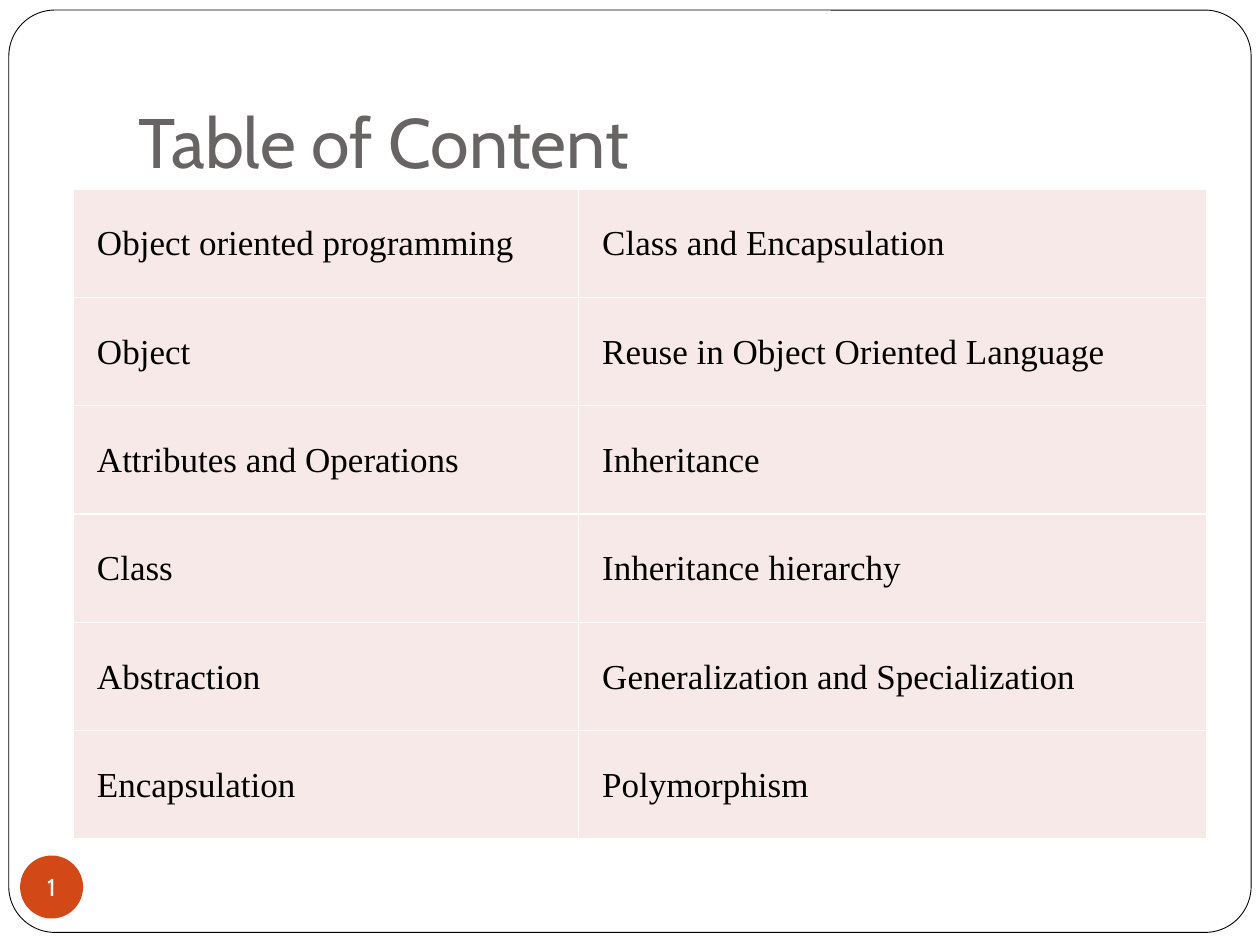
from lxml import etree
from pptx import Presentation
from pptx.dml.color import RGBColor
from pptx.enum import shapes, text
from pptx.oxml.ns import qn
from pptx.util import Inches, Pt

WHITE = RGBColor(0xFF, 0xFF, 0xFF)
BLACK = RGBColor(0, 0, 0)
GREY = RGBColor(0x69, 0x64, 0x64)
ORANGE = RGBColor(0xD3, 0x48, 0x17)
PINK = RGBColor(0xF7, 0xE9, 0xE8)

TOPICS = [
    ("Object oriented programming", "Class and Encapsulation"),
    ("Object", "Reuse in Object Oriented Language"),
    ("Attributes and Operations", "Inheritance"),
    ("Class", "Inheritance hierarchy"),
    ("Abstraction", "Generalization and Specialization"),
    ("Encapsulation", "Polymorphism"),
]
COLUMN_WIDTHS = (4.01, 4.99)
ROW_HEIGHT = 0.86


def set_font(p, name, size, color):
    p.font.name = name
    p.font.size = Pt(size)
    p.font.color.rgb = color


def set_insets(target, left, top, right, bottom):
    target.margin_left, target.margin_top = Inches(left), Inches(top)
    target.margin_right, target.margin_bottom = Inches(right), Inches(bottom)


def add_plain_shape(s, kind, left, top, width, height, fill):
    sp = s.shapes.add_shape(kind, Inches(left), Inches(top),
                            Inches(width), Inches(height))
    sp.shadow.inherit = False
    sp.fill.solid()
    sp.fill.fore_color.rgb = fill
    sp.line.fill.background()
    return sp


def add_frame(s):
    sp = add_plain_shape(s, shapes.MSO_SHAPE.ROUNDED_RECTANGLE,
                         0.07, 0.08, 9.86, 7.32, WHITE)
    sp.adjustments[0] = 0.05
    sp.line.color.rgb = BLACK
    sp.line.width = Pt(0.5)
    # Send the frame behind the title
    s.shapes.title._element.addprevious(sp._element)


def set_title(s, title):
    sp = s.shapes.title
    sp.left, sp.top = Inches(1), Inches(0.3)
    sp.width, sp.height = Inches(8.5), Inches(1.25)
    tf = sp.text_frame
    tf.text = title
    tf.vertical_anchor = text.MSO_ANCHOR.BOTTOM
    set_insets(tf, 0.1, 0.05, 0.1, 0.1)
    p = tf.paragraphs[0]
    p.alignment = text.PP_ALIGN.LEFT
    set_font(p, "Cabin", 40, GREY)


def add_page_number(s, number):
    sp = add_plain_shape(s, shapes.MSO_SHAPE.OVAL, 0.16, 6.79, 0.5, 0.5, ORANGE)
    tf = sp.text_frame
    tf.text = number
    tf.word_wrap = False
    tf.vertical_anchor = text.MSO_ANCHOR.MIDDLE
    set_insets(tf, 0, 0, 0, 0)
    p = tf.paragraphs[0]
    p.alignment = text.PP_ALIGN.CENTER
    set_font(p, "Cabin", 14, WHITE)


def set_borders(cell, color, width):
    # Border lines come before the fill in the cell properties
    tc_pr = cell._tc.get_or_add_tcPr()
    for i, side in enumerate(("a:lnL", "a:lnR", "a:lnT", "a:lnB")):
        ln = etree.Element(qn(side), w=str(Pt(width)))
        fill = etree.SubElement(ln, qn("a:solidFill"))
        etree.SubElement(fill, qn("a:srgbClr"), val=str(color))
        tc_pr.insert(i, ln)


def fill_cell(cell, words):
    cell.text = words
    cell.vertical_anchor = text.MSO_ANCHOR.MIDDLE
    set_insets(cell, 0.19, 0.01, 0.01, 0)
    cell.fill.solid()
    cell.fill.fore_color.rgb = PINK
    set_borders(cell, WHITE, 1)
    set_font(cell.text_frame.paragraphs[0], "Times New Roman", 20, BLACK)


def add_topics(s):
    table = s.shapes.add_table(
        len(TOPICS), len(COLUMN_WIDTHS), Inches(0.58), Inches(1.5),
        Inches(sum(COLUMN_WIDTHS)), Inches(ROW_HEIGHT * len(TOPICS))).table
    table.first_row = table.horz_banding = False
    for column, width in zip(table.columns, COLUMN_WIDTHS):
        column.width = Inches(width)
    for row, topics in zip(table.rows, TOPICS):
        row.height = Inches(ROW_HEIGHT)
        for cell, words in zip(row.cells, topics):
            fill_cell(cell, words)


def main():
    prs = Presentation()
    prs.slide_width, prs.slide_height = Inches(10), Inches(7.5)
    s = prs.slides.add_slide(prs.slide_layouts[5])
    add_frame(s)
    set_title(s, "Table of Content")
    add_page_number(s, "1")
    add_topics(s)
    prs.save("out.pptx")


if __name__ == "__main__":
    main()
